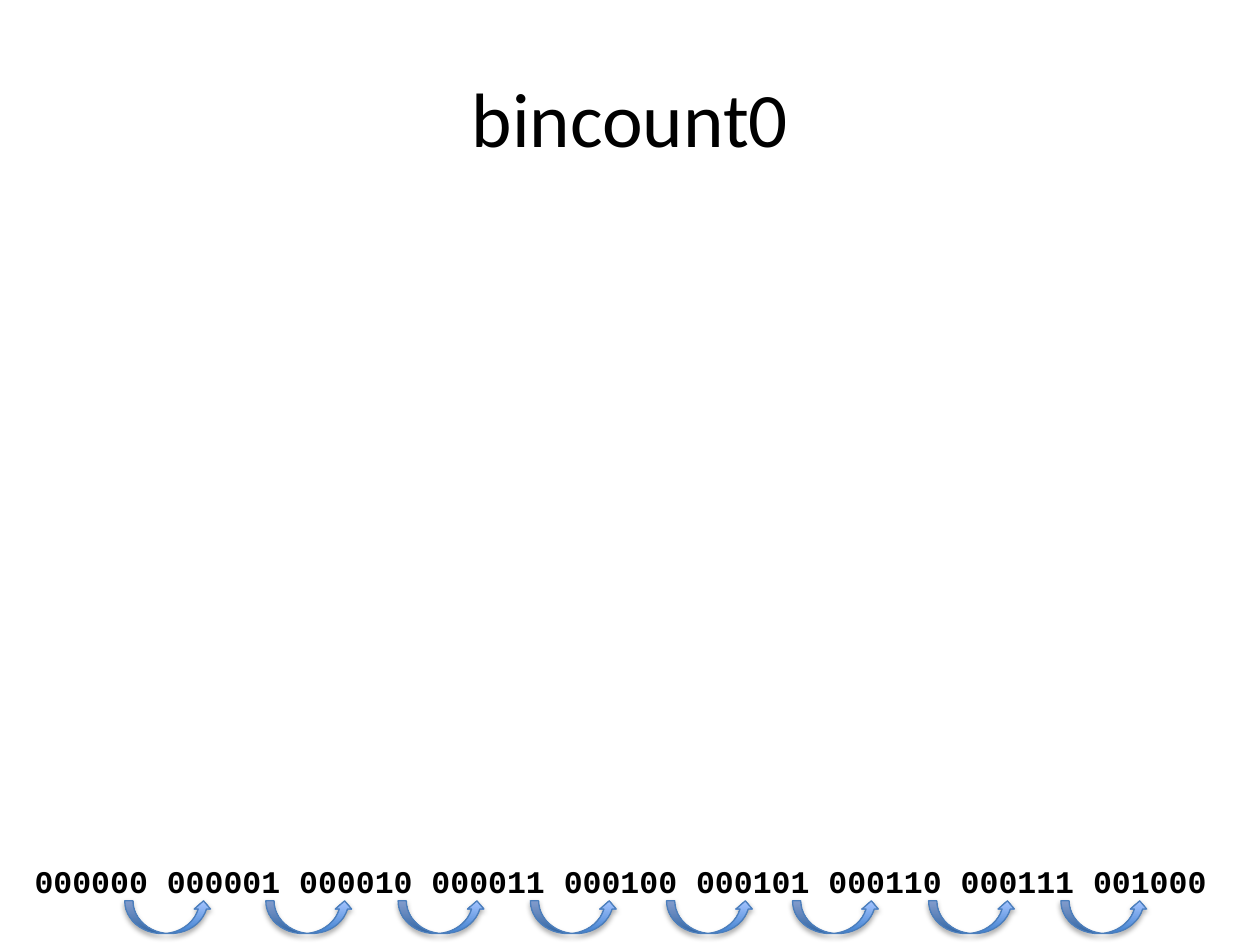
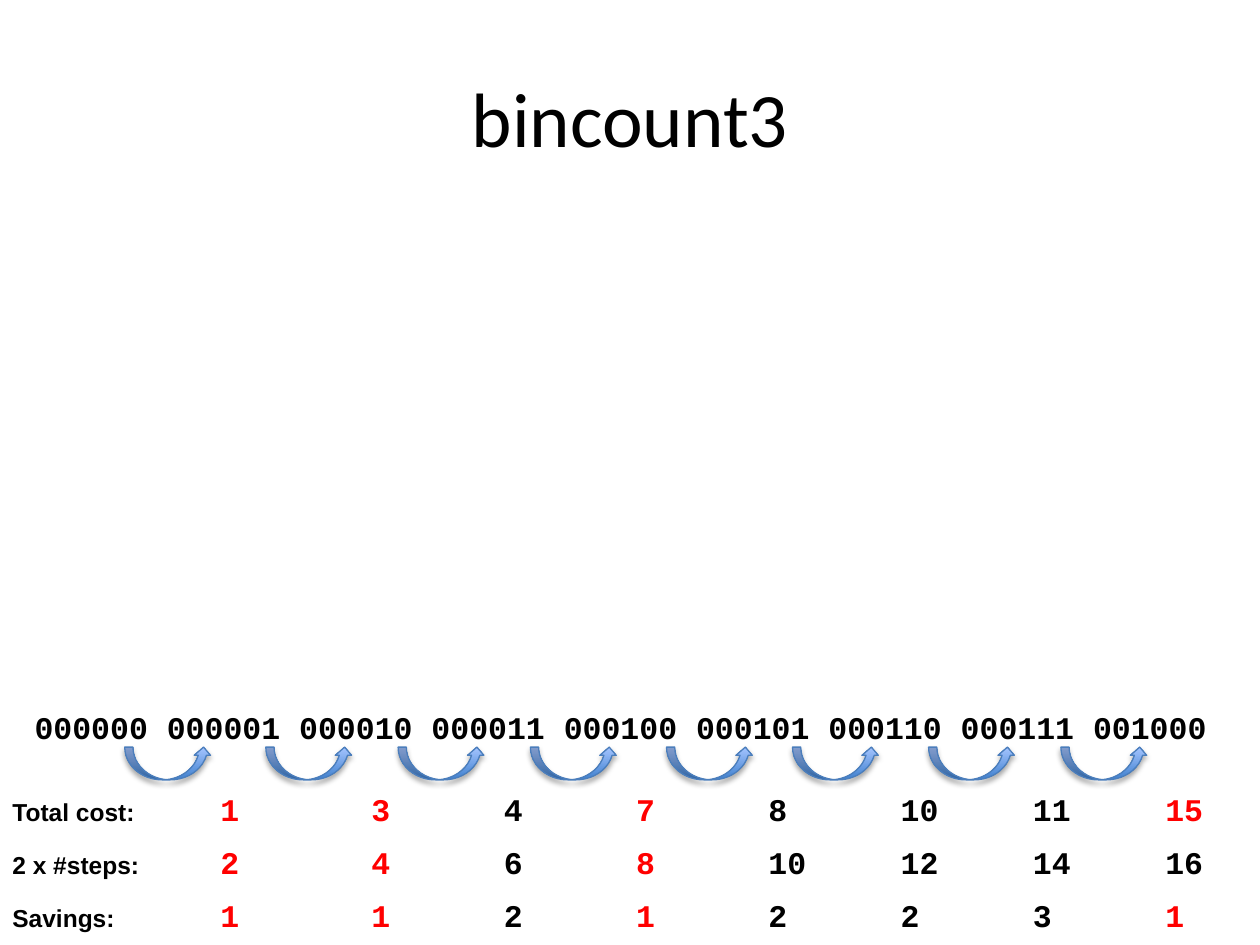
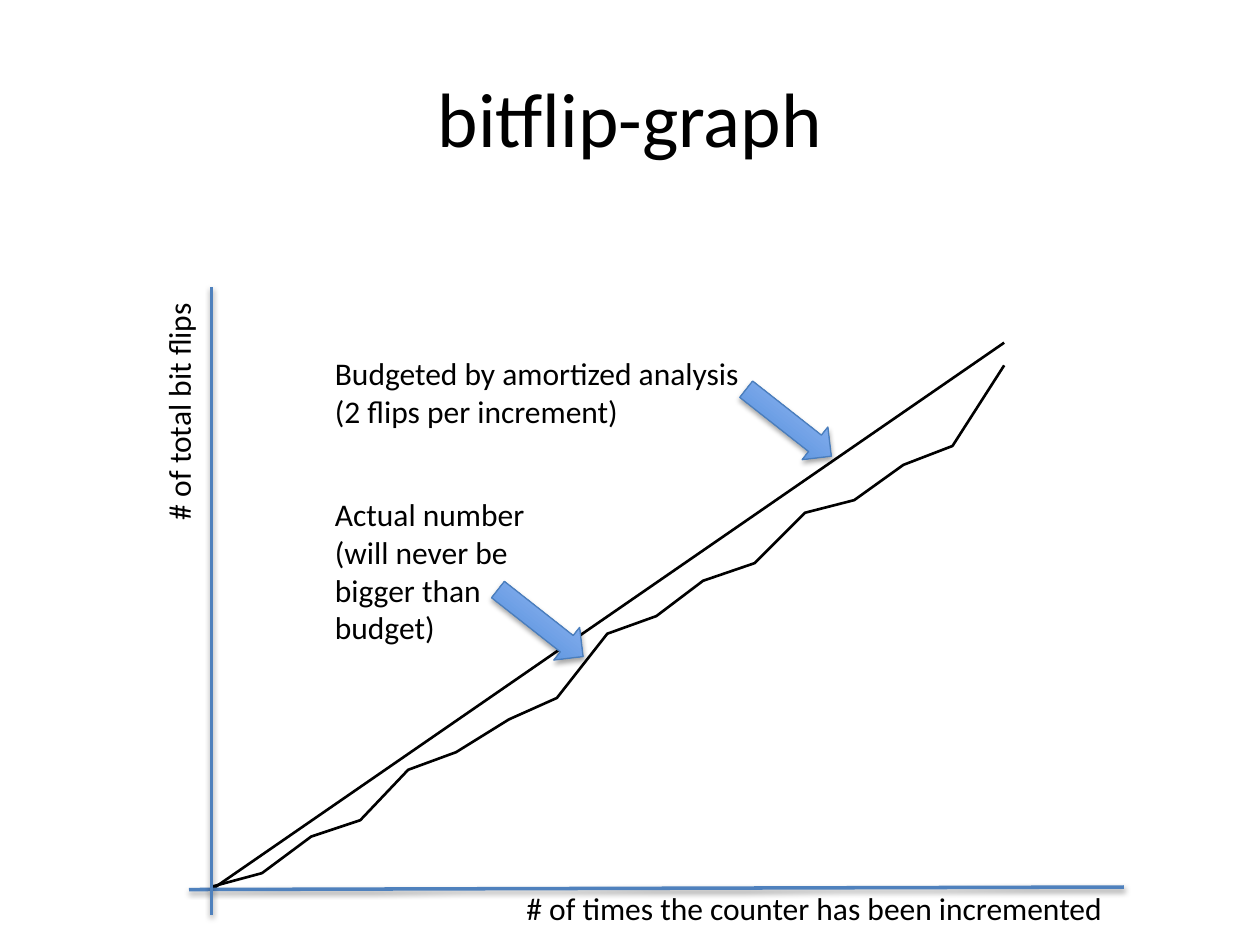
from dataclasses import dataclass

from lxml import etree
from pptx import Presentation
from pptx import util as u
from pptx.dml.color import RGBColor
from pptx.enum import shapes, text
from pptx.oxml import ns


@dataclass(frozen=True)
class Theme:
    ink: str = "000000"
    highlight: str = "FF0000"
    axis: str = "4F81BD"
    arrow_line: str = "4B7EBC"
    arrow_dark: str = "3F80CE"
    arrow_light: str = "A4C4FF"
    heading_font: str = "Calibri"
    label_font: str = "Arial"
    code_font: str = "Courier New"
    title_size: int = 44
    text_size: int = 18
    label_size: int = 14
    row_spacing: float = 1.4


@dataclass(frozen=True)
class Shadow:
    opacity: int
    blur: float
    distance: float


@dataclass(frozen=True)
class CostRow:
    label: str
    values: tuple[int, ...]
    highlighted: tuple[int, ...]


@dataclass(frozen=True)
class Note:
    """Unwrapped chart text: paragraphs, each a tuple of lines."""
    left: float
    top: float
    width: float
    height: float
    paragraphs: tuple[tuple[str, ...], ...]
    rotation: float = 0


@dataclass(frozen=True)
class Stroke:
    start: tuple[float, float]
    end: tuple[float, float]
    color: str
    weight: float
    shadow: Shadow | None = None


THEME = Theme()
ARROW_SHADOW = Shadow(35, 3.1, 1.8)
AXIS_SHADOW = Shadow(38, 3.1, 1.6)

COUNTER_STEPS = 8
STEP_ARROW_LEFTS = (0.99, 2.11, 3.16, 4.21, 5.29, 6.29, 7.37, 8.42)
STEP_ARROW_DROP = 0.48
FIRST_COST_TAB = 1.65
SECOND_COST_TAB = 2.85
COST_TAB_STEP = 1.05
COST_ROWS = (
    CostRow("Total cost:", (1, 3, 4, 7, 8, 10, 11, 15), (0, 1, 3, 7)),
    CostRow("2 x #steps:", (2, 4, 6, 8, 10, 12, 14, 16), (0, 1, 3)),
    CostRow("Savings:", (1, 1, 2, 1, 2, 2, 3, 1), (0, 1, 3, 7)),
)

BUDGET = Stroke((1.68, 7.06), (7.97, 2.72), THEME.ink, 1.5)
AXES = (
    Stroke((8.92, 7.04), (1.5, 7.06), THEME.axis, 2, AXIS_SHADOW),
    Stroke((1.68, 2.28), (1.68, 7.26), THEME.axis, 2, AXIS_SHADOW),
)
ACTUAL_FLIPS = (
    (1.67, 7.04), (2.08, 6.93), (2.47, 6.64), (2.86, 6.51), (3.24, 6.11), (3.62, 5.97),
    (4.04, 5.71), (4.42, 5.54), (4.82, 5.03), (5.21, 4.89), (5.58, 4.61), (5.99, 4.47),
    (6.39, 4.07), (6.78, 3.97), (7.17, 3.69), (7.56, 3.54), (7.97, 2.9),
)
NOTES = (
    Note(4.08, 7.01, 4.83, 0.4, (("# of times the counter has been incremented",),)),
    Note(0.44, 3.05, 1.95, 0.4, (("# of total bit flips",),), 270),
    Note(2.56, 2.76, 3.46, 0.71,
         (("Budgeted by amortized analysis", "(2 flips per increment)"),)),
    Note(2.56, 3.88, 1.72, 1.31,
         (("Actual number",), ("(will never be", "bigger than", "budget)"))),
)
POINTERS = ((5.83, 3.19), (3.86, 4.78))


def inches(*lengths: float) -> list[u.Length]:
    return [u.Inches(length) for length in lengths]


def add_span(para, content: str, font: str, size: float, color: str = THEME.ink,
             bold: bool = False) -> None:
    span = para.add_run()
    span.text = content
    span.font.name = font
    span.font.size = u.Pt(size)
    span.font.color.rgb = RGBColor.from_string(color)
    span.font.bold = bold


def set_line(shape, color: str, weight: float) -> None:
    shape.line.color.rgb = RGBColor.from_string(color)
    shape.line.width = u.Pt(weight)


def set_shadow(shape, shadow: Shadow | None) -> None:
    """Replace the theme shadow; call after fill and line are set."""
    effects = etree.SubElement(shape.element.spPr, ns.qn("a:effectLst"))
    if shadow is None:
        return
    outer = etree.SubElement(
        effects, ns.qn("a:outerShdw"), blurRad=str(u.Pt(shadow.blur)),
        dist=str(u.Pt(shadow.distance)), dir="5400000", rotWithShape="0")
    color = etree.SubElement(outer, ns.qn("a:srgbClr"), val=THEME.ink)
    etree.SubElement(color, ns.qn("a:alpha"), val=str(shadow.opacity * 1000))


def add_page(deck, title: str):
    page = deck.slides.add_slide(deck.slide_layouts.get_by_name("Title Only"))
    box = page.shapes.title
    box.left, box.top, box.width, box.height = inches(0.5, 0.3, 9, 1.25)
    box.text_frame.vertical_anchor = text.MSO_ANCHOR.MIDDLE
    para = box.text_frame.paragraphs[0]
    para.alignment = text.PP_ALIGN.CENTER
    add_span(para, title, THEME.heading_font, THEME.title_size)
    return page


def add_text_frame(page, left: float, top: float, width: float, height: float,
                   wrap: bool = True, rotation: float = 0):
    box = page.shapes.add_textbox(*inches(left, top, width, height))
    box.rotation = rotation
    frame = box.text_frame
    frame.word_wrap = wrap
    frame.auto_size = text.MSO_AUTO_SIZE.SHAPE_TO_FIT_TEXT
    return frame


def add_paragraph(frame, index: int):
    return frame.add_paragraph() if index else frame.paragraphs[0]


def add_arrow(page, kind: shapes.MSO_SHAPE, left: float, top: float,
              width: float, height: float, rotation: float = 0) -> None:
    arrow = page.shapes.add_shape(kind, *inches(left, top, width, height))
    arrow.rotation = rotation
    arrow.fill.gradient()
    arrow.fill.gradient_angle = 90
    for stop, color in zip(arrow.fill.gradient_stops, (THEME.arrow_dark, THEME.arrow_light)):
        stop.color.rgb = RGBColor.from_string(color)
    set_line(arrow, THEME.arrow_line, 0.75)
    set_shadow(arrow, ARROW_SHADOW)


def add_counter(page, top: float) -> None:
    para = add_text_frame(page, 0, top, 10, 0.5).paragraphs[0]
    para.alignment = text.PP_ALIGN.CENTER
    para.line_spacing = THEME.row_spacing
    states = "".join(f"{count:06b} " for count in range(COUNTER_STEPS + 1))
    add_span(para, states, THEME.code_font, THEME.text_size, bold=True)
    for left in STEP_ARROW_LEFTS:
        add_arrow(page, shapes.MSO_SHAPE.CURVED_UP_ARROW, left, top + STEP_ARROW_DROP,
                  0.69, 0.26)


def add_cost_tabs(para) -> None:
    tabs = etree.SubElement(para._p.get_or_add_pPr(), ns.qn("a:tabLst"))
    later = [SECOND_COST_TAB + COST_TAB_STEP * step for step in range(COUNTER_STEPS - 1)]
    for position in [FIRST_COST_TAB, *later]:
        etree.SubElement(tabs, ns.qn("a:tab"), pos=str(u.Inches(position)), algn="l")


def add_costs(page) -> None:
    frame = add_text_frame(page, 0, 6.1, 10, 1.37)
    for index, row in enumerate(COST_ROWS):
        para = add_paragraph(frame, index)
        add_cost_tabs(para)
        para.line_spacing = THEME.row_spacing
        add_span(para, row.label, THEME.label_font, THEME.label_size, bold=True)
        for step, value in enumerate(row.values):
            color = THEME.highlight if step in row.highlighted else THEME.ink
            add_span(para, f"\t{value}", THEME.code_font, THEME.text_size, color, True)


def add_stroke(page, stroke: Stroke) -> None:
    line = page.shapes.add_connector(
        shapes.MSO_CONNECTOR.STRAIGHT, *inches(*stroke.start, *stroke.end))
    set_line(line, stroke.color, stroke.weight)
    set_shadow(line, stroke.shadow)


def add_actual_curve(page) -> None:
    start, *rest = [tuple(inches(*point)) for point in ACTUAL_FLIPS]
    builder = page.shapes.build_freeform(*start)
    builder.add_line_segments(rest, close=False)
    curve = builder.convert_to_shape()
    curve.fill.background()
    set_line(curve, THEME.ink, 1.5)
    set_shadow(curve, None)


def add_note(page, note: Note) -> None:
    frame = add_text_frame(page, note.left, note.top, note.width, note.height,
                           wrap=False, rotation=note.rotation)
    for index, lines in enumerate(note.paragraphs):
        para = add_paragraph(frame, index)
        for number, line in enumerate(lines):
            if number:
                para.add_line_break()
            add_span(para, line, THEME.heading_font, THEME.text_size)


def add_flip_graph(page) -> None:
    add_stroke(page, BUDGET)
    add_actual_curve(page)
    for axis in AXES:
        add_stroke(page, axis)
    for note in NOTES:
        add_note(page, note)
    for left, top in POINTERS:
        add_arrow(page, shapes.MSO_SHAPE.RIGHT_ARROW, left, top, 0.86, 0.33, 38.2)


def main() -> None:
    deck = Presentation()
    deck.slide_width, deck.slide_height = inches(10, 7.5)

    add_counter(add_page(deck, "bincount0"), 6.67)

    cost_page = add_page(deck, "bincount3")
    add_counter(cost_page, 5.45)
    add_costs(cost_page)

    add_flip_graph(add_page(deck, "bitflip-graph"))
    deck.save("out.pptx")


if __name__ == "__main__":
    main()
